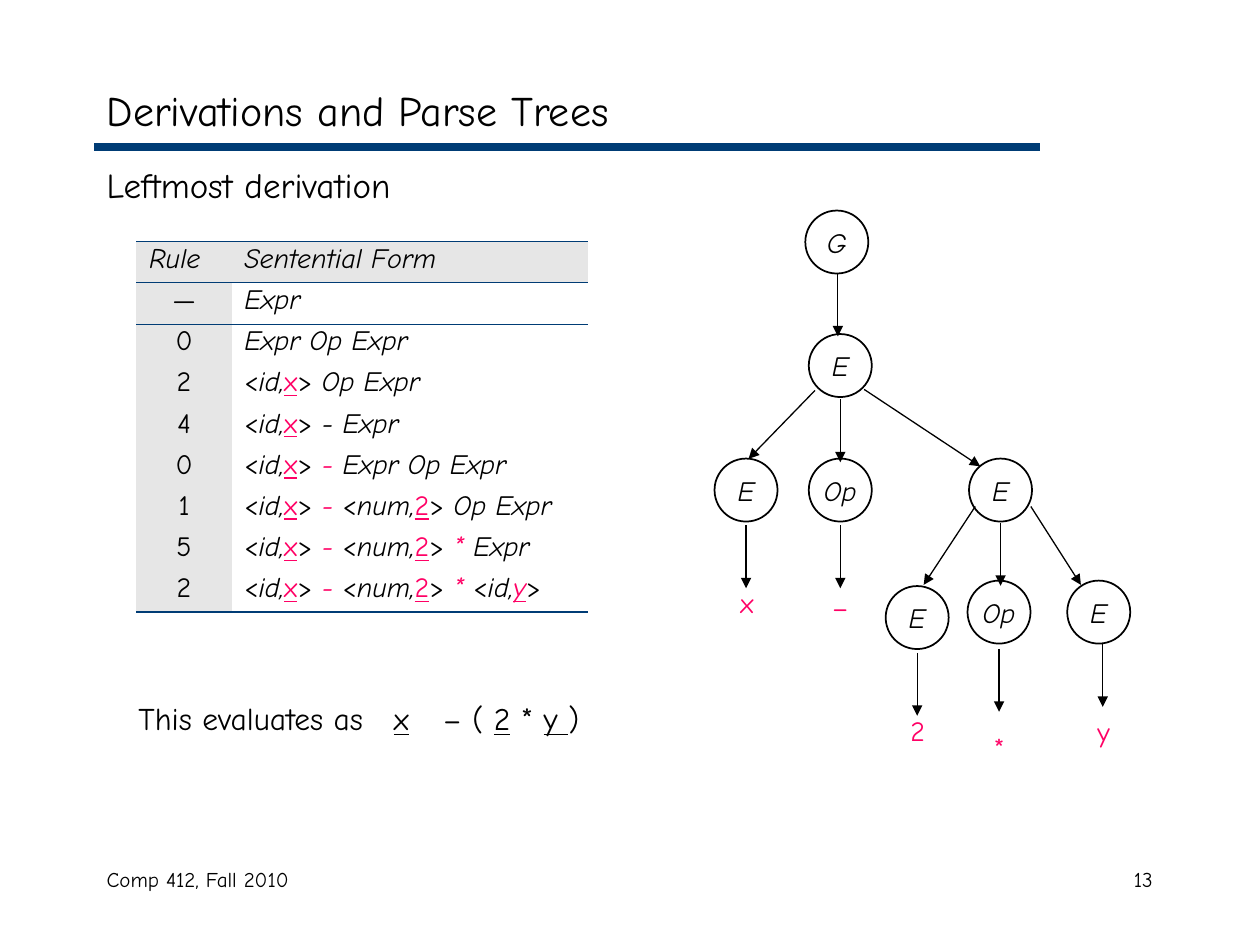
from dataclasses import dataclass
from typing import Any

import pptx
import pptx.dml.color
import pptx.enum.shapes
import pptx.enum.text
import pptx.oxml
import pptx.oxml.ns
import pptx.util

Cm = pptx.util.Cm
Pt = pptx.util.Pt
PP_ALIGN = pptx.enum.text.PP_ALIGN
ANCHOR = pptx.enum.text.MSO_ANCHOR

COLORS = {"ink": "000000", "rule": "003C75", "token": "FF0065", "band": "E6E6E6"}
FONT = "Comic Neue"
NODE_SIZE = 1.27
ARROW_DROP = 1.27
LEAF_HEIGHT = 0.94
STYLES = {
    "plain": {},
    "italic": {"italic": True},
    "underlined": {"underline": True},
    "token": {"underline": True, "color": "token"},
    "italic token": {"italic": True, "underline": True, "color": "token"},
    "operator": {"italic": True, "color": "token"},
    "leaf": {"color": "token"},
}


@dataclass(frozen=True)
class Run:
    text: str
    style: str = "plain"


@dataclass(frozen=True)
class Label:
    text: str
    x: float
    y: float


@dataclass(frozen=True)
class Edge:
    x1: float
    y1: float
    x2: float
    y2: float


def drop(x: float, y: float) -> Edge:
    return Edge(x, y, x, y + ARROW_DROP)


def lexeme(kind: str, value: str, style: str = "token") -> list[Run]:
    return [Run("<"), Run(kind, "italic"), Run(value, style), Run(">")]


ID_X = lexeme("id,", "x")
MINUS = Run(" - ", "operator")
NUM_2 = lexeme("num,", "2")
TIMES = Run(" * ", "operator")

DERIVATION = [
    ("—", [Run("Expr", "italic")]),
    ("0", [Run("Expr Op Expr", "italic")]),
    ("2", [*ID_X, Run(" Op Expr", "italic")]),
    ("4", [*ID_X, Run(" - Expr", "italic")]),
    ("0", [*ID_X, MINUS, Run("Expr Op Expr", "italic")]),
    ("1", [*ID_X, MINUS, *NUM_2, Run(" Op Expr", "italic")]),
    ("5", [*ID_X, MINUS, *NUM_2, TIMES, Run("Expr", "italic")]),
    ("2", [*ID_X, MINUS, *NUM_2, TIMES, *lexeme("id,", "y", "italic token")]),
]
NODES = [
    Label("G", 16.87, 4.88),
    Label("E", 16.94, 7.37),
    Label("E", 15.04, 9.88),
    Label("Op", 16.94, 9.88),
    Label("E", 20.17, 9.88),
    Label("E", 18.49, 12.45),
    Label("Op", 20.14, 12.34),
    Label("E", 22.15, 12.34),
]
LEAVES = [
    Label("x", 15.06, 11.68),
    Label("–", 16.94, 11.76),
    Label("2", 18.5, 14.25),
    Label("*", 20.14, 14.61),
    Label("y", 22.25, 14.27),
]
EDGES = [
    drop(16.89, 5.51),
    drop(16.94, 8.05),
    drop(16.94, 10.59),
    drop(15.04, 10.59),
    drop(20.17, 10.54),
    drop(18.49, 13.16),
    drop(20.14, 13.08),
    drop(22.23, 12.98),
    Edge(16.43, 7.87, 15.09, 9.25),
    Edge(17.42, 7.85, 19.76, 9.4),
    Edge(19.66, 10.21, 18.62, 11.79),
    Edge(20.78, 10.21, 21.79, 11.79),
]


def apply_format(target: Any, values: dict[str, Any]) -> None:
    for name, value in values.items():
        setattr(target, name, value)


def rgb(color: str) -> pptx.dml.color.RGBColor:
    return pptx.dml.color.RGBColor.from_string(COLORS[color])


def write(frame: Any, runs: list[Run], size: float, **paragraph_format: Any) -> None:
    paragraph = frame.paragraphs[0]
    apply_format(paragraph, paragraph_format)
    for part in runs:
        run = paragraph.add_run()
        run.text = part.text
        style = {"italic": False, "color": "ink", **STYLES[part.style]}
        run.font.color.rgb = rgb(style.pop("color"))
        apply_format(run.font, {"name": FONT, "size": Pt(size), **style})


def add_text(shapes: Any, box: tuple[float, ...], runs: list[Run], size: float,
             align: Any = PP_ALIGN.LEFT) -> Any:
    frame = shapes.add_textbox(*map(Cm, box)).text_frame
    frame.word_wrap = True
    write(frame, runs, size, alignment=align)
    return frame


def add_line(shapes: Any, edge: Edge, color: str, width: float) -> Any:
    ends = map(Cm, (edge.x1, edge.y1, edge.x2, edge.y2))
    line = shapes.add_connector(pptx.enum.shapes.MSO_CONNECTOR.STRAIGHT, *ends)
    line.line.color.rgb = rgb(color)
    line.line.width = Pt(width)
    pptx.oxml.ns.qn("a:effectLst")
    line.line._get_or_add_ln().addnext(
        pptx.oxml.parse_xml(f'<a:effectLst {pptx.oxml.ns.nsdecls("a")}/>'))
    return line


def add_arrow(shapes: Any, edge: Edge) -> None:
    arrow = add_line(shapes, edge, "ink", 0.75)
    arrow.line._get_or_add_ln().append(
        pptx.oxml.parse_xml(f'<a:tailEnd {pptx.oxml.ns.nsdecls("a")} type="triangle"/>'))


def add_node(shapes: Any, node: Label) -> None:
    circle = shapes.add_shape(
        pptx.enum.shapes.MSO_SHAPE.OVAL, Cm(node.x - NODE_SIZE / 2),
        Cm(node.y - NODE_SIZE / 2), Cm(NODE_SIZE), Cm(NODE_SIZE))
    circle.shadow.inherit = False
    circle.fill.background()
    circle.line.color.rgb = rgb("ink")
    circle.line.width = Pt(1)
    apply_format(circle.text_frame, {"word_wrap": False, "vertical_anchor": ANCHOR.MIDDLE})
    write(circle.text_frame, [Run(node.text, "italic")], 16, alignment=PP_ALIGN.CENTER)


def add_border(cell: Any, side: str, width: float) -> None:
    cell._tc.get_or_add_tcPr().append(pptx.oxml.parse_xml(
        f'<a:{side} {pptx.oxml.ns.nsdecls("a")} w="{Pt(width)}"><a:solidFill>'
        f'<a:srgbClr val="{COLORS["rule"]}"/></a:solidFill></a:{side}>'))


def add_derivation(shapes: Any) -> None:
    rows = [("Rule", [Run("Sentential Form", "italic")]), *DERIVATION]
    table = shapes.add_table(len(rows), 2, Cm(2.75), Cm(4.87), Cm(9.1), Cm(7.47)).table
    apply_format(table, {"first_row": False, "horz_banding": False})
    table._tbl.tblPr[0].text = "{2D5ABB26-0587-4C30-8999-92F81FD0307C}"
    for column, width in zip(table.columns, (1.92, 7.18)):
        column.width = Cm(width)
    borders = {0: (("lnT", 1.08), ("lnB", 0.45)), 1: (("lnT", 0.45),),
               len(rows) - 1: (("lnB", 1.08),)}
    for r, (rule, form) in enumerate(rows):
        rule_run = Run(rule, "plain" if r else "italic")
        for c, runs in enumerate(([rule_run], form)):
            cell = table.cell(r, c)
            for side, width in borders.get(r, ()):
                add_border(cell, side, width)
            if r == 0 or c == 0:
                cell.fill.solid()
                cell.fill.fore_color.rgb = rgb("band")
            else:
                cell.fill.background()
            align = PP_ALIGN.CENTER if r and c == 0 else PP_ALIGN.LEFT
            write(cell.text_frame, runs, 16, alignment=align, line_spacing=0.8)


def add_evaluation(shapes: Any) -> None:
    runs = [Run("This evaluates as\t"), Run("x", "underlined"), Run("\t– ( "),
            Run("2", "underlined"), Run(" * "), Run("y ", "underlined"), Run(")")]
    frame = add_text(shapes, (2.54, 13.97, 9.4, 1.02), runs, 18)
    stops = "".join(f'<a:tab pos="{Cm(stop)}" algn="l"/>' for stop in (5.15, 6.14))
    frame.paragraphs[0]._p.get_or_add_pPr().append(pptx.oxml.parse_xml(
        f'<a:tabLst {pptx.oxml.ns.nsdecls("a")}>{stops}</a:tabLst>'))


def main() -> None:
    deck = pptx.Presentation()
    apply_format(deck, {"slide_width": Cm(25.4), "slide_height": Cm(19.05)})
    slide = deck.slides.add_slide(deck.slide_layouts[5])
    shapes = slide.shapes

    title = shapes.title
    apply_format(title, {"left": Cm(1.9), "top": Cm(1.48), "width": Cm(21.6), "height": Cm(1.48)})
    apply_format(title.text_frame, {"vertical_anchor": ANCHOR.MIDDLE,
                                    "auto_size": pptx.enum.text.MSO_AUTO_SIZE.NONE})
    write(title.text_frame, [Run("Derivations and Parse Trees")], 24, alignment=PP_ALIGN.LEFT)
    add_line(shapes, Edge(1.9, 2.97, 20.96, 2.97), "rule", 4.5)

    add_text(shapes, (1.9, 3.18, 21.6, 1.2), [Run("Leftmost derivation")], 20)
    add_derivation(shapes)
    add_evaluation(shapes)

    tree = shapes.add_group_shape().shapes
    for edge in EDGES:
        add_arrow(tree, edge)
    for node in NODES:
        add_node(tree, node)
    for leaf in LEAVES:
        box = (leaf.x - NODE_SIZE / 2, leaf.y, NODE_SIZE, LEAF_HEIGHT)
        add_text(tree, box, [Run(leaf.text, "leaf")], 16, PP_ALIGN.CENTER)

    add_text(shapes, (1.9, 17.35, 8.05, 1.27), [Run("Comp 412, Fall 2010")], 12)
    add_text(shapes, (18.21, 17.35, 5.28, 1.27), [Run("13")], 12, PP_ALIGN.RIGHT)
    deck.save("out.pptx")


if __name__ == "__main__":
    main()
